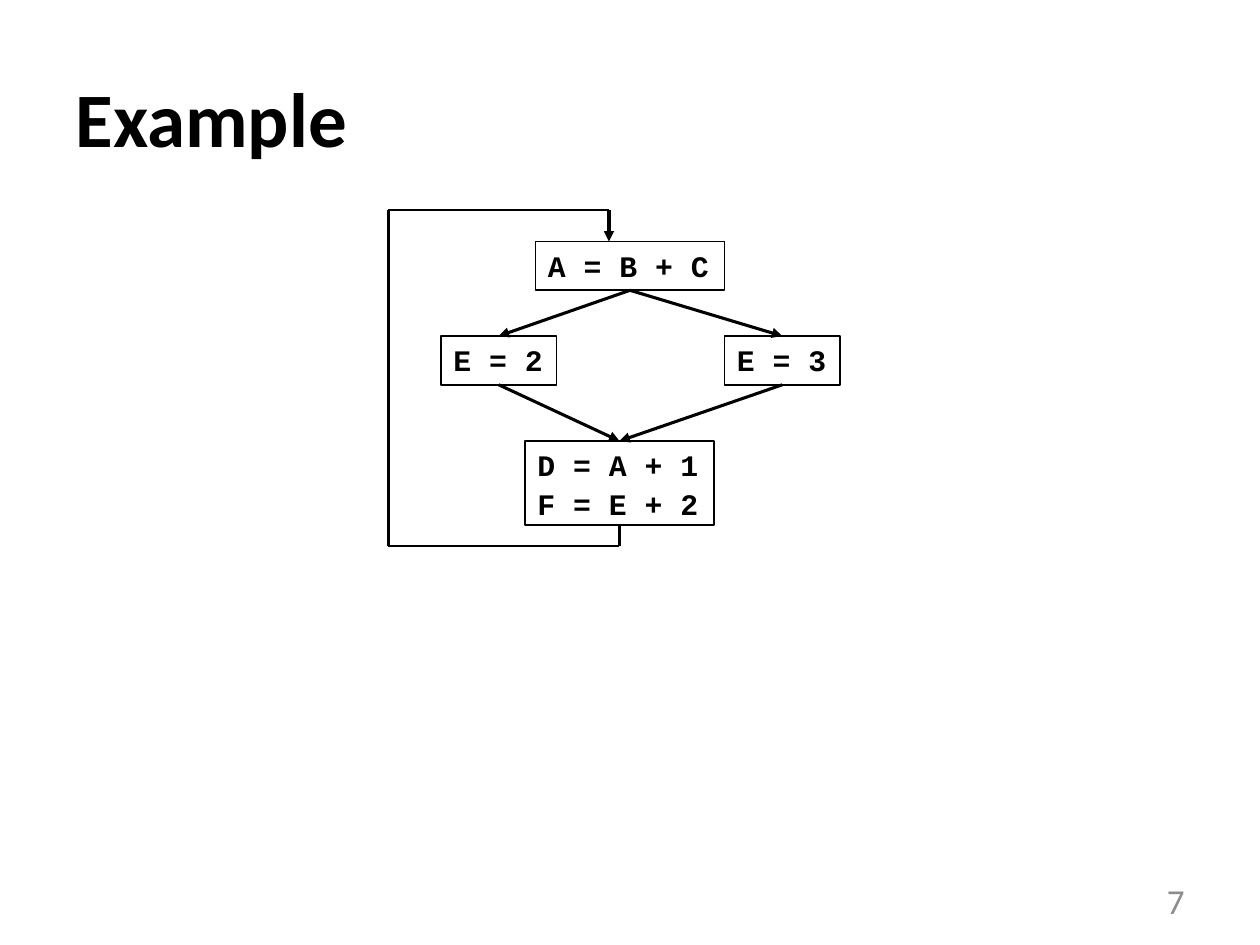
import itertools

import pptx
import pptx.dml.color
import pptx.enum.shapes
import pptx.enum.text
import pptx.oxml
import pptx.oxml.ns
import pptx.util

COLUMNS, ROWS = 120, 90
TOP, BOTTOM = 0, 2
ALIGN = pptx.enum.text.PP_ALIGN
ANCHOR = pptx.enum.text.MSO_ANCHOR
BLACK, GRAY = "000000", "8C8C8C"
TITLE = {"name": "Calibri", "size": pptx.util.Pt(44), "bold": True}
NUMBER = {"name": "Calibri", "size": pptx.util.Pt(20)}
CODE = {"name": "Courier New", "size": pptx.util.Pt(17), "bold": True}


def color(value):
    return pptx.dml.color.RGBColor.from_string(value)


def assign(target, values):
    for name, value in values.items():
        setattr(target, name, value)


def add_element(parent, tag):
    element = pptx.oxml.parse_xml(f"<a:{tag} {pptx.oxml.ns.nsdecls('a')}/>")
    parent.append(element)
    return element


class FlowSlide:
    def __init__(self, deck):
        self.cell_width = deck.slide_width / COLUMNS
        self.cell_height = deck.slide_height / ROWS
        self.page = deck.slides.add_slide(deck.slide_layouts[5])

    def place(self, column, row):
        return round(column * self.cell_width), round(row * self.cell_height)

    def set_text(self, shape, lines, font, ink=BLACK, align=ALIGN.LEFT, space=0, **frame):
        assign(shape.text_frame, frame)
        shape.text_frame.text = "\n".join(lines)
        for para in shape.text_frame.paragraphs:
            assign(para, {"alignment": align, "space_before": pptx.util.Pt(space)})
            for span in para.runs:
                assign(span.font, font)
                span.font.color.rgb = color(ink)

    def title(self, text, corner, size):
        shape = self.page.shapes.title
        shape.left, shape.top = self.place(*corner)
        shape.width, shape.height = self.place(*size)
        self.set_text(shape, [text], TITLE, vertical_anchor=ANCHOR.MIDDLE)

    def number(self, text, corner, size):
        box = self.page.shapes.add_textbox(*self.place(*corner), *self.place(*size))
        self.set_text(box, [text], NUMBER, GRAY, ALIGN.RIGHT,
                      vertical_anchor=ANCHOR.MIDDLE, word_wrap=True)

    def block(self, lines, corner, size):
        box = self.page.shapes.add_shape(
            pptx.enum.shapes.MSO_SHAPE.RECTANGLE, *self.place(*corner), *self.place(*size))
        box.shadow.inherit = False
        box.fill.background()
        box.line.color.rgb = color(BLACK)
        box.line.width = pptx.util.Pt(1)
        self.set_text(box, lines, CODE, space=1.4, vertical_anchor=ANCHOR.TOP,
                      word_wrap=False, auto_size=pptx.enum.text.MSO_AUTO_SIZE.SHAPE_TO_FIT_TEXT)
        return box

    def line(self, start=(0, 0), end=(0, 0), width=1.5, arrow=False):
        edge = self.page.shapes.add_connector(
            pptx.enum.shapes.MSO_CONNECTOR.STRAIGHT, *self.place(*start), *self.place(*end))
        edge.line.color.rgb = color(BLACK)
        edge.line.width = pptx.util.Pt(width)
        properties = edge._element.spPr
        if arrow:
            add_element(properties.get_or_add_ln(), "tailEnd").set("type", "triangle")
        add_element(properties, "effectLst")
        return edge

    def flow(self, source, target):
        edge = self.line(width=1.75, arrow=True)
        edge.begin_connect(source, BOTTOM)
        edge.end_connect(target, TOP)

    def route(self, points):
        *plain, last = itertools.pairwise(points)
        for start, end in plain:
            self.line(start, end)
        self.line(*last, width=1.75, arrow=True)


def main():
    deck = pptx.Presentation()
    deck.slide_width = pptx.util.Inches(10)
    deck.slide_height = pptx.util.Inches(7.5)
    slide = FlowSlide(deck)

    slide.title("Example", (6, 3.6), (108, 15))
    slide.number("7", (86, 83.4), (28, 4.8))

    entry = slide.block(["A = B + C"], (51, 23), (18, 4.65))
    left = slide.block(["E = 2"], (42, 32), (11, 4.65))
    right = slide.block(["E = 3"], (69, 32), (11, 4.65))
    join = slide.block(["D = A + 1", "F = E + 2"], (50, 42), (18, 8))

    for branch in (left, right):
        slide.flow(entry, branch)
        slide.flow(branch, join)
    slide.route([(59, 50), (59, 52), (37, 52), (37, 20), (58, 20), (58, 23)])

    deck.save("out.pptx")


if __name__ == "__main__":
    main()
